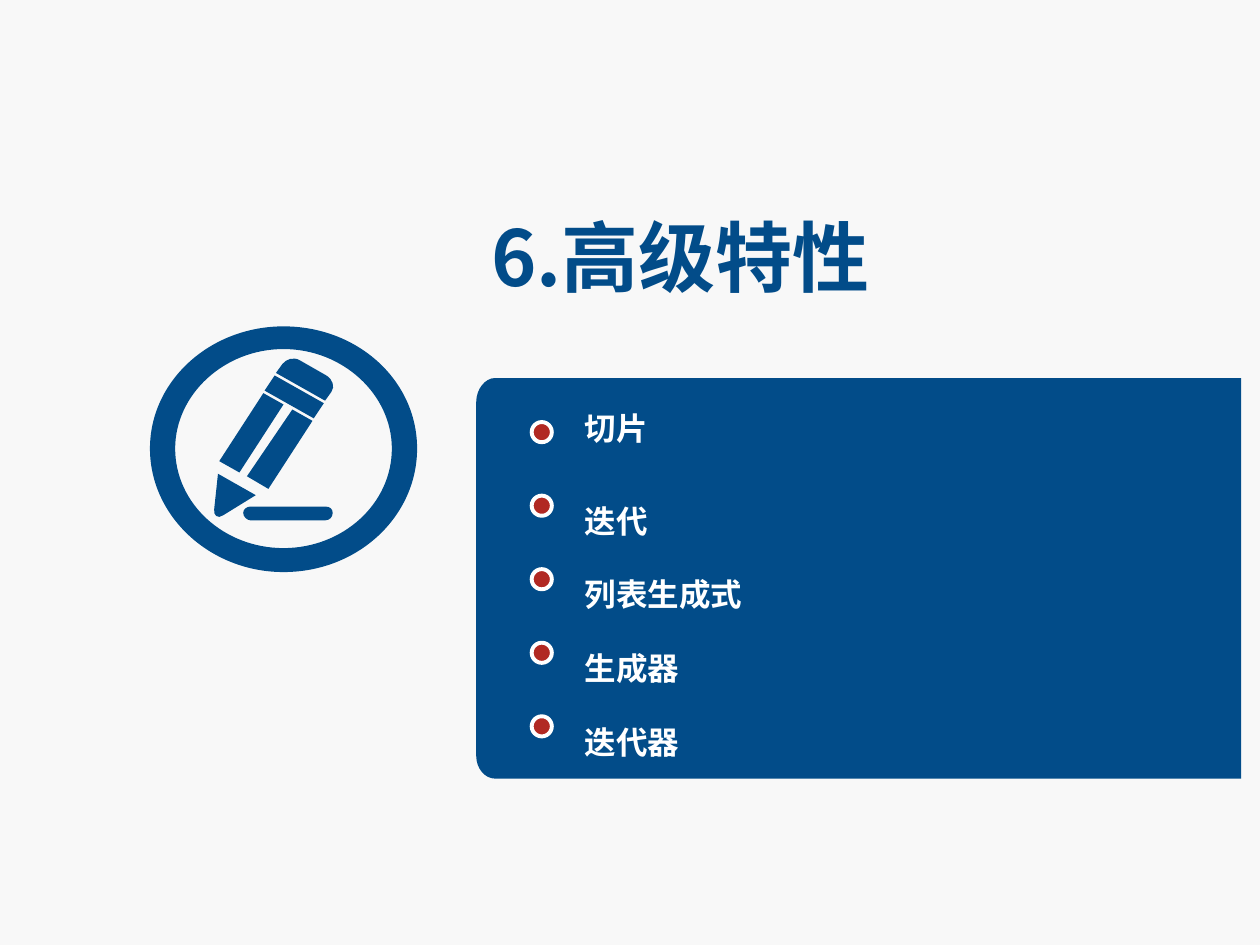
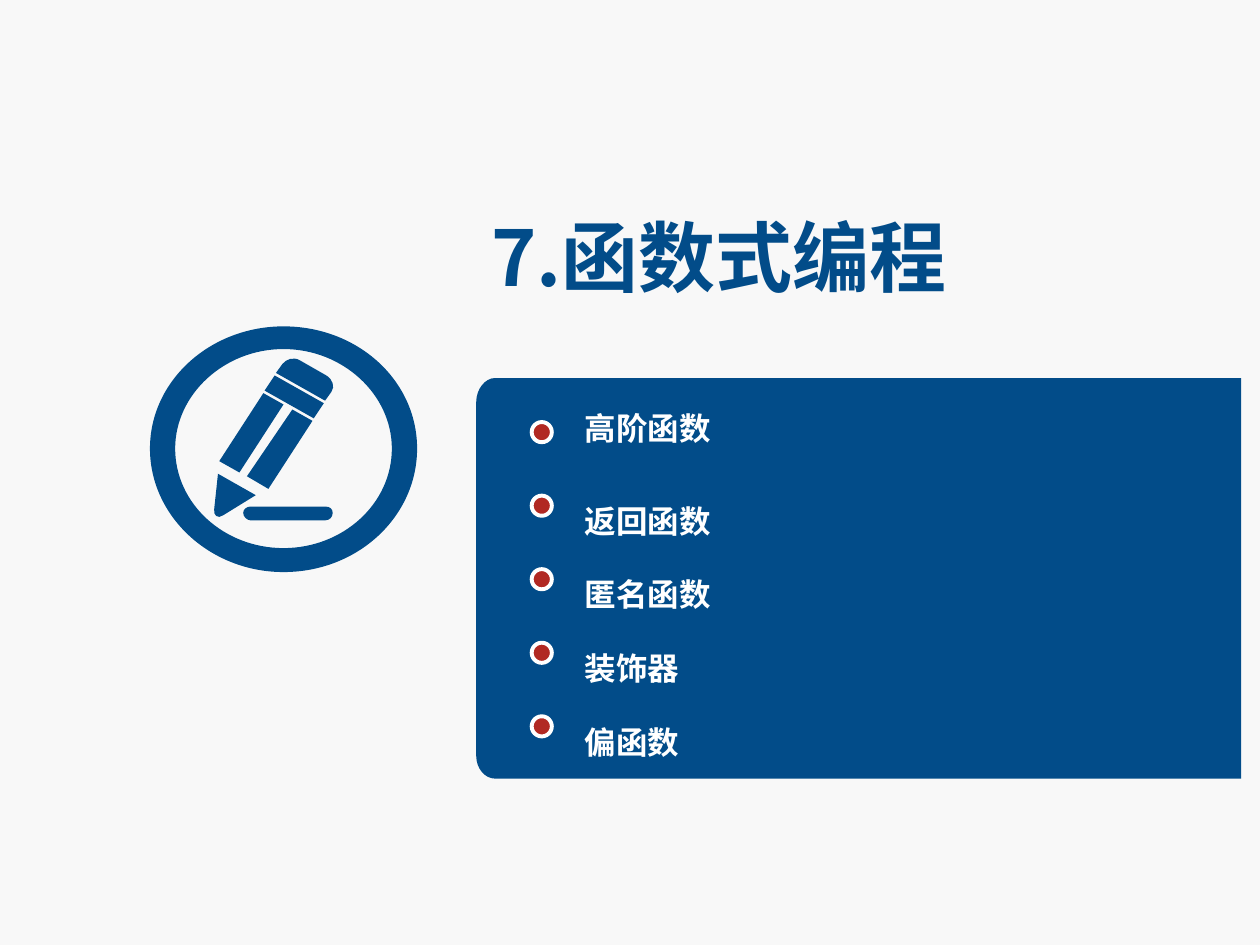
from itertools import chain

from lxml import etree
from pptx import Presentation
from pptx import util as u
from pptx.dml.color import RGBColor
from pptx.enum import shapes, text
from pptx.oxml.ns import qn

BLUE = RGBColor(0x02, 0x4C, 0x89)
RED = RGBColor(0xB1, 0x29, 0x23)
WHITE = RGBColor(0xFF, 0xFF, 0xFF)
PAPER = RGBColor(0xF8, 0xF8, 0xF8)
FONT = "Noto Sans CJK SC"
UNITS = 1000
DOT_SIZE = 0.16
DOT_TOP = 3.35
ITEM_TOP = 3.2
ITEM_PITCH = 2.335 / 4

SECTIONS = [
    ("6.高级特性", ["切片", "迭代", "列表生成式", "生成器", "迭代器"]),
    ("7.函数式编程", ["高阶函数", "返回函数", "匿名函数", "装饰器", "偏函数"]),
]

PANEL = [(3.93, 3), (9.85, 3), (9.85, 6.18), (3.93, 6.18),
         (3.85, 6.18, 3.78, 6.1, 3.78, 6), (3.78, 3.19),
         (3.78, 3.09, 3.85, 3, 3.93, 3)]

UNDERLINE = [(1.99, 4.02), (2.58, 4.02), (2.62, 4.02, 2.64, 4.04, 2.64, 4.07),
             (2.64, 4.1, 2.62, 4.13, 2.58, 4.13), (1.99, 4.13),
             (1.96, 4.13, 1.93, 4.1, 1.93, 4.07),
             (1.93, 4.04, 1.96, 4.02, 1.99, 4.02)]
BODY_RIGHT = [(1.96, 3.78), (2.32, 3.25), (2.48, 3.34), (2.13, 3.88), (1.96, 3.78)]
BODY_LEFT = [(1.74, 3.66), (2.09, 3.12), (2.25, 3.21), (1.9, 3.75), (1.74, 3.66)]
TIP = [(1.7, 4.04), (1.73, 3.76), (2.03, 3.93), (1.77, 4.09),
       (1.73, 4.12, 1.69, 4.09, 1.7, 4.04)]
BAND = [(2.18, 2.98), (2.57, 3.2), (2.49, 3.32), (2.1, 3.1), (2.18, 2.98)]
ERASER = [(2.24, 2.89), (2.27, 2.85, 2.33, 2.83, 2.38, 2.86), (2.59, 2.98),
          (2.64, 3.01, 2.66, 3.07, 2.63, 3.11), (2.58, 3.18), (2.19, 2.96),
          (2.24, 2.89)]
RING_OUTER = [(2.25, 2.59), (2.84, 2.59, 3.31, 3.02, 3.31, 3.56),
              (3.31, 4.1, 2.84, 4.54, 2.25, 4.54),
              (1.67, 4.54, 1.19, 4.1, 1.19, 3.56),
              (1.19, 3.02, 1.67, 2.59, 2.25, 2.59)]
RING_INNER = [(2.25, 2.77), (2.72, 2.77, 3.11, 3.13, 3.11, 3.56),
              (3.11, 4, 2.72, 4.35, 2.25, 4.35),
              (1.78, 4.35, 1.39, 4, 1.39, 3.56),
              (1.39, 3.13, 1.78, 2.77, 2.25, 2.77)]
PENCIL_ICON = [UNDERLINE, BODY_RIGHT, BODY_LEFT, TIP, BAND, ERASER,
               RING_OUTER, RING_INNER]


def to_units(seg):
    return [round(v * UNITS) for v in seg]


def write(p, words, *, size, color, spacing=None):
    p.alignment = text.PP_ALIGN.LEFT
    if spacing:
        p.line_spacing = spacing
    r = p.add_run()
    r.text = words
    r.font.size = u.Pt(size)
    r.font.bold = True
    r.font.color.rgb = color
    r.font.name = FONT
    ea = etree.SubElement(r.font._element, qn("a:ea"))
    ea.set("typeface", FONT)


def bend(sp, contours):
    segs = list(chain.from_iterable(c[1:] for c in contours))
    ends = [seg[-2:] for seg in chain.from_iterable(contours)]
    left, top = min(x for x, _ in ends), min(y for _, y in ends)
    for line, seg in zip(list(sp.element.iter(qn("a:lnTo"))), segs):
        if len(seg) == 6:
            curve = etree.Element(qn("a:cubicBezTo"))
            for x, y in zip(seg[::2], seg[1::2]):
                etree.SubElement(curve, qn("a:pt"), x=str(x - left), y=str(y - top))
            line.getparent().replace(line, curve)


class Deck:
    def __init__(self):
        self.prs = Presentation()
        self.prs.slide_width = u.Inches(10)
        self.prs.slide_height = u.Inches(7.5)
        self.s = None

    def slide(self):
        self.s = self.prs.slides.add_slide(self.prs.slide_layouts[5])
        fill = self.s.background.fill
        fill.solid()
        fill.fore_color.rgb = PAPER

    def frame(self, sp):
        tf = sp.text_frame
        tf.word_wrap = True
        tf.auto_size = text.MSO_AUTO_SIZE.SHAPE_TO_FIT_TEXT
        tf.vertical_anchor = text.MSO_ANCHOR.TOP
        tf.margin_left = tf.margin_right = u.Inches(0.05)
        tf.margin_top = tf.margin_bottom = u.Inches(0.05)
        return tf.paragraphs[0]

    def title(self, words):
        sp = self.s.shapes.title
        sp.left, sp.top = u.Inches(3.85), u.Inches(1.61)
        sp.width, sp.height = u.Inches(5.94), u.Inches(0.96)
        write(self.frame(sp), words, size=44, color=BLUE)

    def item(self, y, name, spacing):
        sp = self.s.shapes.add_textbox(u.Inches(4.59), u.Inches(y),
                                       u.Inches(4.21), u.Inches(0.45))
        write(self.frame(sp), name, size=18, color=WHITE, spacing=spacing)

    def items(self, names):
        for i, name in enumerate(names):
            self.dot(4.22, DOT_TOP + i * ITEM_PITCH)
            self.item(ITEM_TOP + i * ITEM_PITCH, name, 1.5 if i else None)

    def dot(self, x, y):
        sp = self.s.shapes.add_shape(shapes.MSO_SHAPE.OVAL, u.Inches(x), u.Inches(y),
                                     u.Inches(DOT_SIZE), u.Inches(DOT_SIZE))
        self.paint(sp, RED)
        sp.line.color.rgb = WHITE
        sp.line.width = u.Pt(2.25)

    def outline(self, contours):
        contours = [[to_units(seg) for seg in c] for c in contours]
        fb = self.s.shapes.build_freeform(*contours[0][0], scale=u.Inches(1) / UNITS)
        for i, contour in enumerate(contours):
            if i:
                fb.move_to(*contour[0])
            fb.add_line_segments([seg[-2:] for seg in contour[1:]], close=True)
        sp = fb.convert_to_shape()
        bend(sp, contours)
        self.paint(sp, BLUE)
        sp.line.fill.background()

    def paint(self, sp, color):
        sp.shadow.inherit = False
        sp.fill.solid()
        sp.fill.fore_color.rgb = color


def main():
    deck = Deck()
    for heading, names in SECTIONS:
        deck.slide()
        deck.outline([PANEL])
        deck.title(heading)
        deck.outline(PENCIL_ICON)
        deck.items(names)
    deck.prs.save("out.pptx")


if __name__ == "__main__":
    main()
